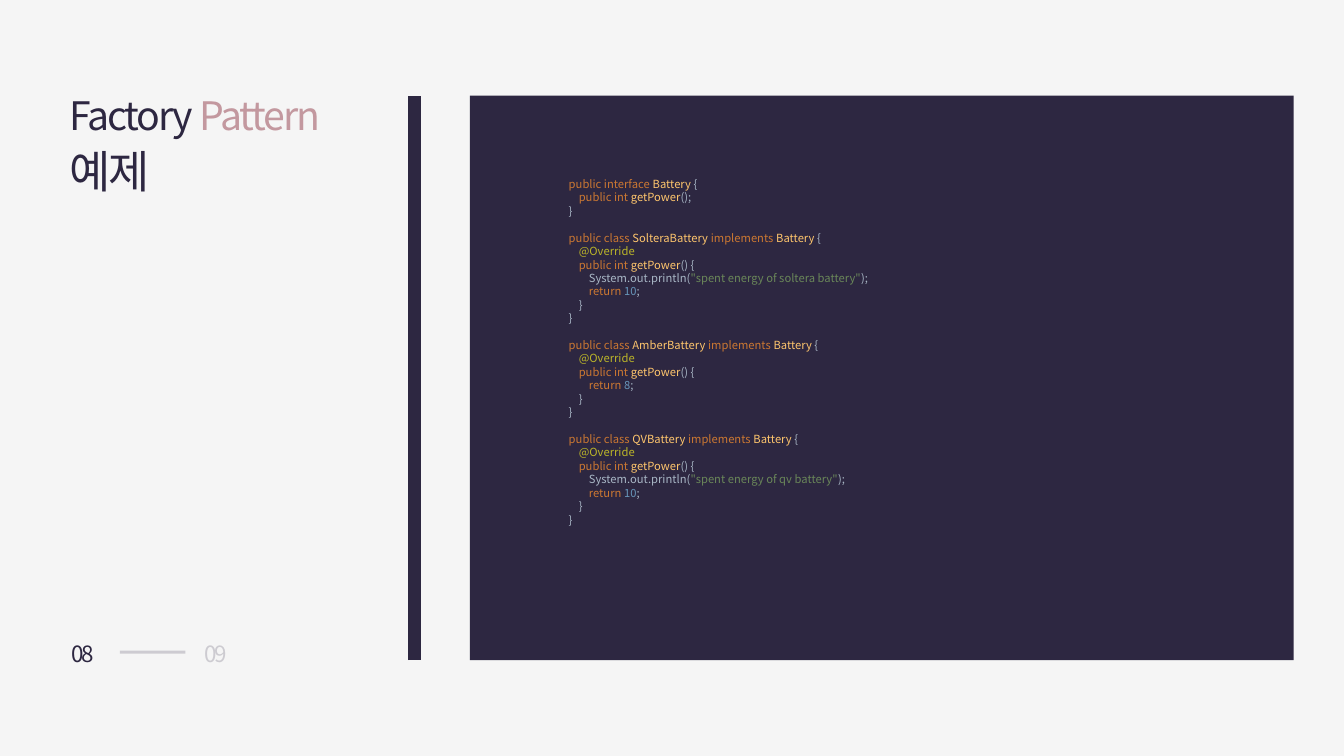
from pptx import Presentation
from pptx.dml.color import RGBColor as RGB
from pptx.enum.shapes import MSO_CONNECTOR as CONN, MSO_SHAPE as SHAPE
from pptx.enum.text import MSO_ANCHOR as ANCHOR, MSO_AUTO_SIZE as AUTO
from pptx.oxml.ns import qn
from pptx.util import Inches, Pt
from lxml.etree import SubElement

FONT = "Noto Sans CJK KR"
COLORS = {
    "bg": "F5F5F5", "navy": "2D2741", "rose": "C3989F",
    "key": "CC7832", "name": "FFC66D", "plain": "A9B7C6",
    "note": "BBB529", "text": "6A8759", "num": "6897BB",
}
W, H = 13.33, 7.5
TOP, BOTTOM = 0.95, 6.55
INDENT = 0.1  # one code level
CODE_SIZE, CODE_PITCH = 8, 9.6


def fade(fill, alpha):
    """Make a solid fill partly transparent."""
    clr = fill._xPr.find(qn("a:solidFill"))[0]
    SubElement(clr, qn("a:alpha")).set("val", str(alpha * 1000))


def add_line(s, start, end, width, alpha=None):
    ln = s.shapes.add_connector(CONN.STRAIGHT, *map(Inches, start + end))
    ln.line.color.rgb = RGB.from_string(COLORS["navy"])
    ln.line.width = Pt(width)
    SubElement(ln._element.spPr, qn("a:effectLst"))
    if alpha:
        fade(ln.line.fill, alpha)


def add_box(s, box, **frame):
    tf = s.shapes.add_textbox(*map(Inches, box)).text_frame
    for key, value in {"word_wrap": False, "auto_size": AUTO.SHAPE_TO_FIT_TEXT, **frame}.items():
        setattr(tf, key, value)
    return tf


def add_par(tf, first, **fmt):
    p = tf.paragraphs[0] if first else tf.add_paragraph()
    for key, value in fmt.items():
        setattr(p, key, value)
    return p


def add_run(p, text, color, size, spacing=None, alpha=None):
    r = p.add_run()
    r.text = text
    for key, value in {"name": FONT, "size": Pt(size)}.items():
        setattr(r.font, key, value)
    r.font.color.rgb = RGB.from_string(COLORS[color])
    rPr = r.font._element
    SubElement(rPr, qn("a:ea")).set("typeface", FONT)
    if spacing:
        rPr.set("spc", str(round(spacing * 100)))
    if alpha:
        fade(r.font.fill, alpha)


def add_title(s, box):
    tf = add_box(s, box)
    lines = [[("Factory", "navy", 28), (" Pattern", "rose", 28)], [("예제", "navy", 32)]]
    for i, runs in enumerate(lines):
        p = add_par(tf, i == 0, line_spacing=1.1)
        for run in runs:
            add_run(p, *run, spacing=-1.5)


def add_pager(s, box):
    """Current and next page number with a rule between them."""
    x, y, w, h = box
    num_w = 0.49
    for left, text, alpha in ((x, "08", None), (x + w - num_w, "09", 20)):
        p = add_par(add_box(s, (left, y, num_w, h)), True, line_spacing=1.1)
        add_run(p, text, "navy", 16, -1.5, alpha)
    add_line(s, (x + 0.58, y + 0.2), (x + 1.23, y + 0.2), 2, 20)


def battery_class(name, power, message=None):
    """Code lines of one class, each as (level, runs)."""
    lines = [
        (0, [("public class ", "key"), (name + " ", "name"), ("implements ", "key"),
             ("Battery", "name"), (" {", "plain")]),
        (1, [("@Override", "note")]),
        (1, [("public int ", "key"), ("getPower", "name"), ("() {", "plain")]),
    ]
    if message:
        lines.append((2, [("System.out.println(", "plain"), (f'"{message}"', "text"),
                          (");", "plain")]))
    return lines + [
        (2, [("return ", "key"), (power, "num"), (";", "plain")]),
        (1, [("}", "plain")]),
        (0, [("}", "plain")]),
    ]


INTERFACE = [
    (0, [("public interface ", "key"), ("Battery", "name"), (" {", "plain")]),
    (1, [("public int ", "key"), ("getPower", "name"), ("();", "plain")]),
    (0, [("}", "plain")]),
]
CODE = [
    INTERFACE,
    battery_class("SolteraBattery", "10", "spent energy of soltera battery"),
    battery_class("AmberBattery", "8"),
    battery_class("QVBattery", "10", "spent energy of qv battery"),
]


def add_code_panel(s, box):
    x, y, w, h = box
    sp = s.shapes.add_shape(SHAPE.RECTANGLE, *map(Inches, box))
    sp.shadow.inherit = False
    sp.fill.solid()
    sp.fill.fore_color.rgb = RGB.from_string(COLORS["navy"])
    sp.line.fill.background()

    # Code listing, with a gap of one line between blocks
    margins = {f"margin_{side}": 0 for side in ("left", "top", "right", "bottom")}
    tf = add_box(s, (x + 0.12 * w, y + 0.79, 3.11, 3.5),
                 vertical_anchor=ANCHOR.MIDDLE, **margins)
    for b, block in enumerate(CODE):
        for i, (level, runs) in enumerate(block):
            gap = CODE_PITCH if b and i == 0 else 0
            p = add_par(tf, b == i == 0, space_before=Pt(gap))
            p._p.get_or_add_pPr().set("marL", str(Inches(level * INDENT)))
            for text, color in runs:
                add_run(p, text, color, CODE_SIZE)


def main():
    prs = Presentation()
    prs.slide_width, prs.slide_height = Inches(W), Inches(H)
    s = prs.slides.add_slide(prs.slide_layouts[6])
    s.background.fill.solid()
    s.background.fill.fore_color.rgb = RGB.from_string(COLORS["bg"])

    add_code_panel(s, (4.66, TOP, 8.17, BOTTOM - TOP))
    add_line(s, (4.11, BOTTOM), (4.11, TOP), 9.5)  # divider
    add_title(s, (0.59, 0.81, 3.47, 1.2))
    add_pager(s, (0.61, 6.27, 1.81, 0.39))
    prs.save("out.pptx")


if __name__ == "__main__":
    main()
